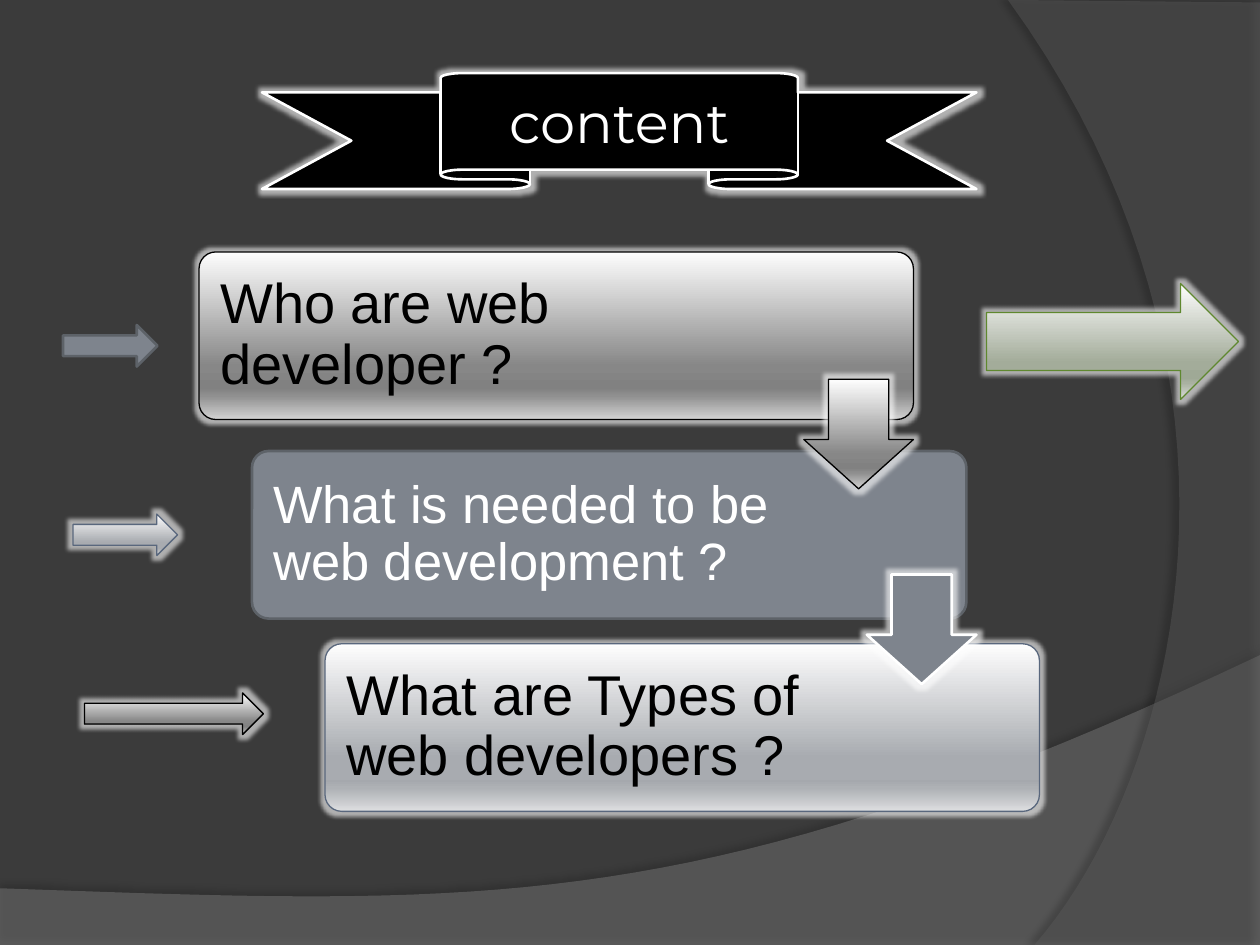
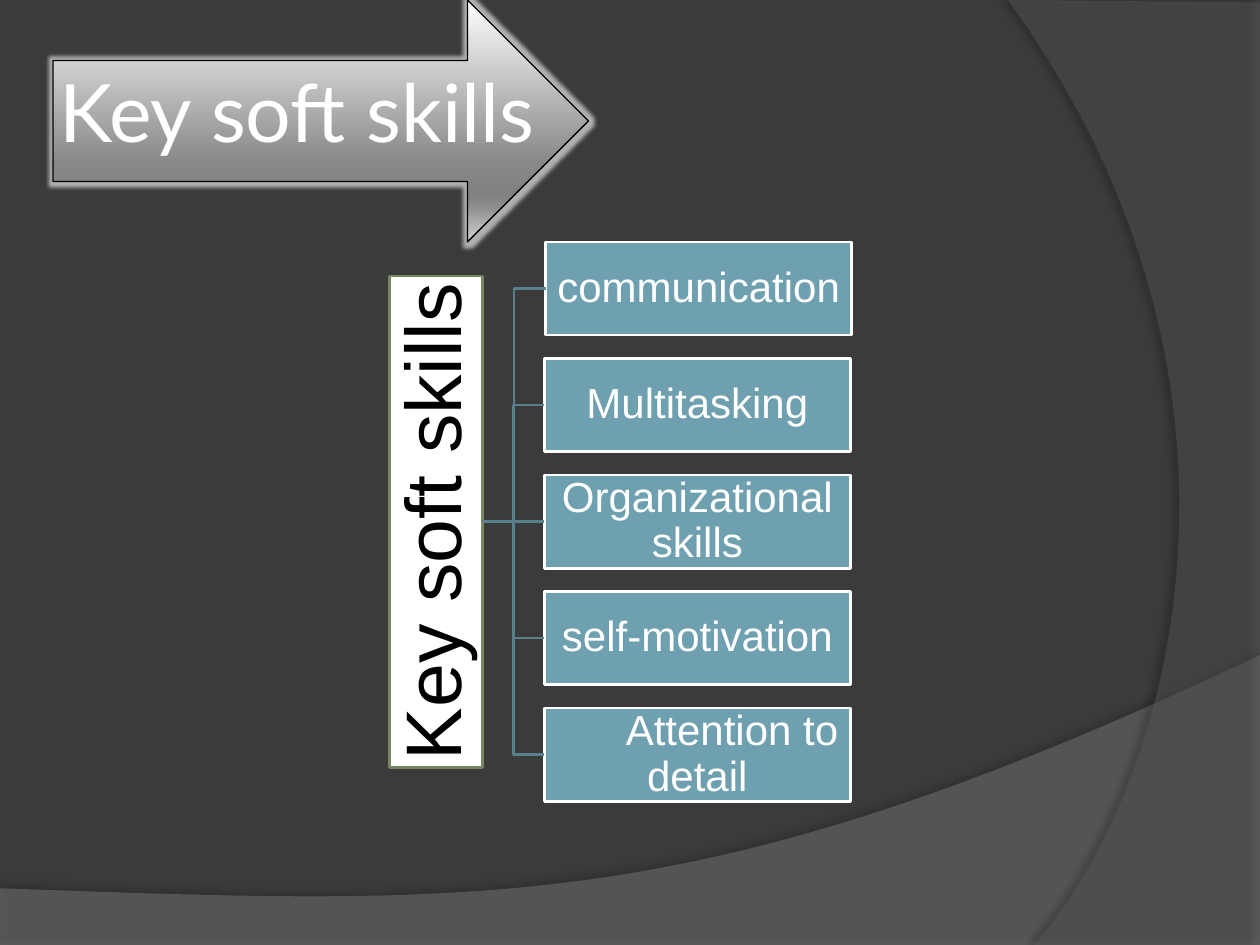
from dataclasses import dataclass
from typing import NamedTuple

from lxml.etree import SubElement
from pptx import Presentation
from pptx.dml.color import RGBColor
from pptx.enum.shapes import MSO_CONNECTOR, MSO_SHAPE
from pptx.enum.text import MSO_ANCHOR, PP_ALIGN
from pptx.oxml.ns import qn
from pptx.util import Inches, Pt

BACKGROUND, BLACK, WHITE, SLATE = "3B3B3B", "000000", "FFFFFF", "7E848D"
STOPS = (0, 68, 81, 86, 100)


@dataclass(frozen=True)
class Look:
    """Fill, outline and halo of a shape; several fill colours make a gradient."""
    fill: tuple[str, ...]
    line: str
    width: float = 0.75
    glow: bool = True


@dataclass(frozen=True)
class Type:
    """Font, size, colour, alignment and spacing of a paragraph."""
    font: str
    size: float
    color: str
    align: PP_ALIGN = PP_ALIGN.LEFT
    spacing: float = 1.0
    indent: float = 0.0


class Place(NamedTuple):
    """Left, top, width and height in inches."""
    left: float
    top: float
    width: float
    height: float


class Item(NamedTuple):
    """A preset shape with its place and look."""
    kind: MSO_SHAPE
    place: Place
    look: Look


class Step(NamedTuple):
    """One question of the staircase."""
    text: str
    left: float
    top: float
    size: float
    color: str
    look: Look


class Swoosh(NamedTuple):
    """A backdrop area: straight points around one cubic curve."""
    before: tuple
    curve: tuple
    fill: str
    alpha: int
    shadow_alpha: int
    shadow_distance: float
    shadow_angle: int


GREY = Look(("FEFEFE", "878787", "818181", "909090", "D3D3D3"), BLACK)
STEEL = Look(("FEFEFE", "A8ABB0", "A5A8AD", "AEB1B5", "DDDEE0"), "59677D")
GREEN = Look(("FEFEFE", "A3AC9A", "9FA996", "A9B1A1", "DBDED9"), "5F882F")
FLAT = Look((SLATE,), "5D6268", 1.5, False)
FLAT_GLOW = Look((SLATE,), WHITE, 1.5)
RIBBON = Look((BLACK,), WHITE, 1.5)
HUB = Look((WHITE,), "748560", 1.5, False)
SKILL = Look(("6EA0B0",), WHITE, 1.5, False)
LINK_COLOR = "58808D"

SWOOSHES = (
    Swoosh(((0, 7.05), (0, 7.5), (10, 7.5)), ((10, 5.2), (5.59, 7.29), (3.91, 7.19), (0, 7.05)),
           "7F7F7F", 45, 35, 3.5, 270),
    Swoosh(((10, 0.02), (10, 7.5)), ((8.21, 7.5), (9.35, 6.19), (10.18, 3), (8, 0)),
           "5E5E5E", 40, 45, 4, 180),
)

STEPS = (
    Step("Who are web developer ?", 1.58, 2, 32, BLACK, GREY),
    Step("What is needed to be web development ?", 2, 3.58, 30, WHITE, FLAT),
    Step("What are Types of web developers ?", 2.58, 5.11, 32, BLACK, STEEL),
)

ARROWS = (
    Item(MSO_SHAPE.DOWN_ARROW, Place(6.38, 3.01, 0.87, 0.87), GREY),
    Item(MSO_SHAPE.DOWN_ARROW, Place(6.88, 4.56, 0.87, 0.87), FLAT_GLOW),
    Item(MSO_SHAPE.RIGHT_ARROW, Place(0.5, 2.58, 0.75, 0.33), FLAT),
    Item(MSO_SHAPE.RIGHT_ARROW, Place(0.58, 4.08, 0.83, 0.33), STEEL),
    Item(MSO_SHAPE.RIGHT_ARROW, Place(0.67, 5.5, 1.42, 0.33), GREY),
    Item(MSO_SHAPE.RIGHT_ARROW, Place(7.83, 2.25, 2, 0.92), GREEN),
)

SKILLS = ("communication", "Multitasking", "Organizational skills", "self-motivation",
          "Attention to detail")


def rgb(color: str) -> RGBColor:
    """Turn a hex string into a colour."""
    return RGBColor.from_string(color)


def add_color(parent, color: str, alpha: int = 100) -> None:
    """Append a colour with its opacity in percent."""
    node = SubElement(parent, qn("a:srgbClr"), val=color)
    if alpha < 100:
        SubElement(node, qn("a:alpha"), val=str(alpha * 1000))


def add_effect(shape, name: str, color: str, alpha: int, **settings: str) -> None:
    """Add a glow or shadow to a shape whose inherited effects are off."""
    effects = shape._element.spPr.find(qn("a:effectLst"))
    add_color(SubElement(effects, qn(f"a:{name}"), **settings), color, alpha)


def apply_look(shape, look: Look) -> None:
    """Fill and outline a shape."""
    shape.shadow.inherit = False
    if len(look.fill) == 1:
        shape.fill.solid()
        shape.fill.fore_color.rgb = rgb(look.fill[0])
    else:
        shape.fill.gradient()
        shape.fill.gradient_angle = 270
        stops = shape._element.spPr.find(qn("a:gradFill")).find(qn("a:gsLst"))
        for stop in list(stops):
            stops.remove(stop)
        for position, color in zip(STOPS, look.fill):
            add_color(SubElement(stops, qn("a:gs"), pos=str(position * 1000)), color)
    shape.line.color.rgb = rgb(look.line)
    shape.line.width = Pt(look.width)
    if look.glow:
        add_effect(shape, "glow", WHITE, 60, rad=str(Pt(5)))


def add_item(page, item: Item):
    """Draw a preset shape."""
    shape = page.shapes.add_shape(item.kind, *map(Inches, item.place))
    apply_look(shape, item.look)
    return shape


def write(box, text: str, style: Type, inset: float, right: float | None = None) -> None:
    """Write one paragraph, centred vertically, into a shape."""
    frame = box.text_frame
    frame.word_wrap = True
    frame.vertical_anchor = MSO_ANCHOR.MIDDLE
    frame.margin_left = frame.margin_top = frame.margin_bottom = Inches(inset)
    frame.margin_right = Inches(inset if right is None else right)
    para = frame.paragraphs[0]
    para.alignment = style.align
    para.line_spacing = style.spacing
    if style.indent:
        para._p.get_or_add_pPr().set("indent", str(Inches(style.indent)))
    span = para.add_run()
    span.text = text
    span.font.name = style.font
    span.font.size = Pt(style.size)
    span.font.color.rgb = rgb(style.color)


def curve_points(curve: tuple, count: int = 40) -> list:
    """Sample a cubic curve evenly."""
    points = []
    for index in range(count + 1):
        t = index / count
        weights = ((1 - t) ** 3, 3 * t * (1 - t) ** 2, 3 * t * t * (1 - t), t ** 3)
        points.append(tuple(sum(w * point[axis] for w, point in zip(weights, curve))
                            for axis in (0, 1)))
    return points


def add_swoosh(page, swoosh: Swoosh) -> None:
    """Draw a translucent backdrop area with a soft edge."""
    points = [(Inches(x), Inches(y)) for x, y in (*swoosh.before, *curve_points(swoosh.curve))]
    builder = page.shapes.build_freeform(*points[0], scale=1.0)
    builder.add_line_segments(points[1:], close=True)
    shape = builder.convert_to_shape()
    shape.shadow.inherit = False
    shape.fill.solid()
    shape.fill.fore_color.rgb = rgb(swoosh.fill)
    color = shape._element.spPr.find(qn("a:solidFill")).find(qn("a:srgbClr"))
    SubElement(color, qn("a:alpha"), val=str(swoosh.alpha * 1000))
    shape.line.fill.background()
    add_effect(shape, "outerShdw", BLACK, swoosh.shadow_alpha, blurRad=str(Pt(4)),
               dist=str(Pt(swoosh.shadow_distance)), dir=str(swoosh.shadow_angle * 60000))


def add_page(deck):
    """Add a blank page with the shared backdrop."""
    page = deck.slides.add_slide(deck.slide_layouts[6])
    page.background.fill.solid()
    page.background.fill.fore_color.rgb = rgb(BACKGROUND)
    for swoosh in SWOOSHES:
        add_swoosh(page, swoosh)
    return page


def add_link(page, hub, skill) -> None:
    """Join the right side of the hub to the left side of a skill."""
    level = abs(hub.top + hub.height // 2 - skill.top - skill.height // 2) < Inches(0.02)
    kind = MSO_CONNECTOR.STRAIGHT if level else MSO_CONNECTOR.ELBOW
    link = page.shapes.add_connector(kind, 0, 0, 0, 0)
    link.begin_connect(hub, 3)
    link.end_connect(skill, 1)
    link.line.color.rgb = rgb(LINK_COLOR)
    link.line.width = Pt(1.5)
    SubElement(link._element.spPr, qn("a:effectLst"))


def build_content(deck) -> None:
    """Build the content page."""
    page = add_page(deck)
    for step in STEPS:
        place = Place(step.left, step.top, 5.67, 1.33)
        box = add_item(page, Item(MSO_SHAPE.ROUNDED_RECTANGLE, place, step.look))
        box.adjustments[0] = 0.1
        write(box, step.text, Type("Arial", step.size, step.color, spacing=0.9), 0.13, 1.49)
    for item in ARROWS:
        arrow = add_item(page, item)
        if item.kind == MSO_SHAPE.DOWN_ARROW:
            arrow.adjustments[0], arrow.adjustments[1] = 0.55, 0.45
    ribbon = add_item(page, Item(MSO_SHAPE.UP_RIBBON, Place(2.08, 0.58, 5.67, 0.92), RIBBON))
    write(ribbon, "content", Type("Montserrat", 32, WHITE, PP_ALIGN.CENTER), 0.05)


def build_skills(deck) -> None:
    """Build the soft skills page."""
    page = add_page(deck)
    add_item(page, Item(MSO_SHAPE.RIGHT_ARROW, Place(0.42, 0, 4.25, 1.92), GREY))
    title = page.shapes.add_textbox(*map(Inches, Place(0.42, 0.25, 8.17, 1.25)))
    write(title, "Key soft skills", Type("Lato", 46, WHITE), 0.05)

    hub = add_item(page, Item(MSO_SHAPE.RECTANGLE, Place(3.09, 2.19, 0.74, 3.9), HUB))
    write(hub, "Key soft skills", Type("Arial", 45, BLACK, PP_ALIGN.CENTER, 0.9), 0.03)
    hub.text_frame._txBody.bodyPr.set("vert", "vert270")

    for index, skill in enumerate(SKILLS):
        left = 4.33 if index == 0 else 4.32
        place = Place(left, 1.92 + 0.925 * index, 2.43, 0.74)
        box = add_item(page, Item(MSO_SHAPE.RECTANGLE, place, SKILL))
        indent = 0.55 if skill == SKILLS[-1] else 0
        write(box, skill, Type("Arial", 24, WHITE, PP_ALIGN.CENTER, 0.9, indent), 0.02)
        add_link(page, hub, box)


def main() -> None:
    """Build and save the deck."""
    deck = Presentation()
    deck.slide_width, deck.slide_height = Inches(10), Inches(7.5)
    build_content(deck)
    build_skills(deck)
    deck.save("out.pptx")


if __name__ == "__main__":
    main()
